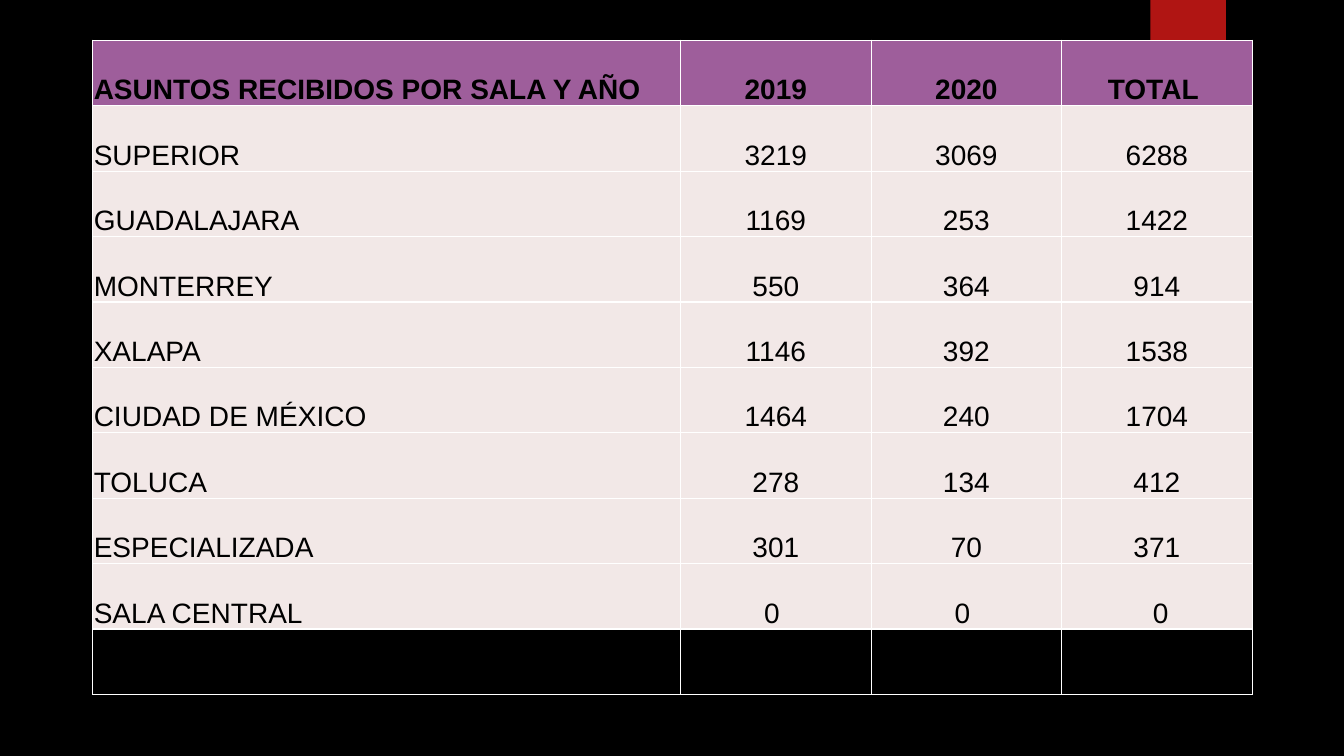
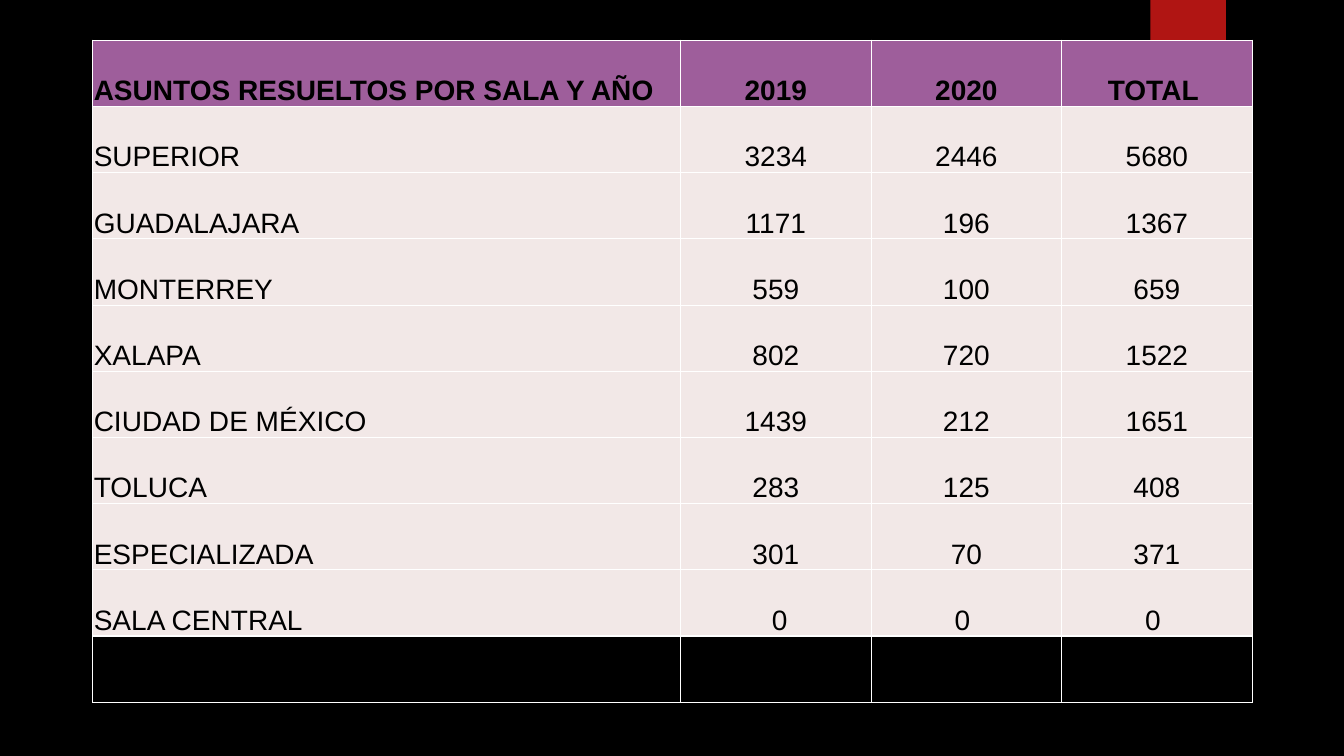
from lxml import etree
from pptx import Presentation
from pptx.dml.color import RGBColor
from pptx.enum.shapes import MSO_SHAPE
from pptx.enum.text import MSO_ANCHOR, PP_ALIGN
from pptx.oxml.ns import qn
from pptx.util import Inches, Pt

RECT = MSO_SHAPE.RECTANGLE
BOTTOM = MSO_ANCHOR.BOTTOM
LEFT, CENTER = PP_ALIGN.LEFT, PP_ALIGN.CENTER

# Shared style
COLORS = {
    "back": "000000",
    "tab": "B01513",
    "head": "9E5E9B",
    "body": "F2E8E7",
    "foot": "000000",
    "text": "000000",
    "line": "FFFFFF",
}
FONT, SIZE = "Arial", Pt(20)
COLS = (5.83, 1.89, 1.89, 1.89)
X, Y = 0.92, 0.4
INSET = Inches(0.01)

# Content: table height, then rows; the zeros hold no-break spaces
TABLES = [
    (6.49, [
        ("ASUNTOS RECIBIDOS POR SALA Y AÑO", "2019", "2020", "TOTAL "),
        ("SUPERIOR", "3219", "3069", "6288"),
        ("GUADALAJARA", "1169", "253", "1422"),
        ("MONTERREY", "550", "364", "914"),
        ("XALAPA", "1146", "392", "1538"),
        ("CIUDAD DE MÉXICO", "1464", "240", "1704"),
        ("TOLUCA", "278", "134", "412"),
        ("ESPECIALIZADA", "301", "70", "371"),
        ("SALA CENTRAL", "0 ", "0 ", " 0"),
    ]),
    (6.57, [
        ("ASUNTOS RESUELTOS POR SALA Y AÑO", "2019", "2020", "TOTAL "),
        ("SUPERIOR", "3234", "2446", "5680"),
        ("GUADALAJARA", "1171", "196", "1367"),
        ("MONTERREY", "559", "100", "659"),
        ("XALAPA", "802", "720", "1522"),
        ("CIUDAD DE MÉXICO", "1439", "212", "1651"),
        ("TOLUCA", "283", "125", "408"),
        ("ESPECIALIZADA", "301", "70", "371"),
        ("SALA CENTRAL", " 0", "0 ", "0 "),
    ]),
]


def paint(fill, name):
    fill.solid()
    fill.fore_color.rgb = RGBColor.from_string(COLORS[name])


def set_cell(cell, fill):
    props = cell._tc.get_or_add_tcPr()
    for side in ("lnL", "lnR", "lnT", "lnB"):
        line = etree.SubElement(props, qn("a:" + side), w=str(Pt(1)))
        solid = etree.SubElement(line, qn("a:solidFill"))
        etree.SubElement(solid, qn("a:srgbClr"), val=COLORS["line"])
    paint(cell.fill, fill)


def set_text(cell, text, align, bold):
    cell.vertical_anchor = BOTTOM
    cell.margin_left = cell.margin_right = cell.margin_top = INSET
    cell.margin_bottom = 0
    cell.text_frame.text = text
    para = cell.text_frame.paragraphs[0]
    para.alignment = align
    font = para.runs[0].font
    font.name, font.size, font.bold = FONT, SIZE, bold
    font.color.rgb = RGBColor.from_string(COLORS["text"])


def add_tab(slide):
    tab = slide.shapes.add_shape(
        RECT, Inches(11.41), 0, Inches(0.75), Inches(1.25))
    tab.shadow.inherit = False
    paint(tab.fill, "tab")
    tab.line.fill.background()


def add_grid(slide, high, rows):
    # One blank row closes the table
    fills = ["head"] + ["body"] * (len(rows) - 1) + ["foot"]
    grid = slide.shapes.add_table(
        len(fills), len(COLS), Inches(X), Inches(Y),
        Inches(sum(COLS)), Inches(high)).table
    grid.horz_banding = False
    for col, wide in zip(grid.columns, COLS):
        col.width = Inches(wide)
    for row, fill in zip(grid.rows, fills):
        row.height = Inches(high / len(fills))
        for cell in row.cells:
            set_cell(cell, fill)
    for r, row in enumerate(rows):
        for c, text in enumerate(row):
            set_text(grid.cell(r, c), text, CENTER if c else LEFT, r == 0)


def main():
    deck = Presentation()
    deck.slide_width, deck.slide_height = Inches(13.33), Inches(7.5)
    paint(deck.slide_master.background.fill, "back")
    blank = deck.slide_layouts[6]
    for high, rows in TABLES:
        slide = deck.slides.add_slide(blank)
        add_tab(slide)
        add_grid(slide, high, rows)
    deck.save("out.pptx")


if __name__ == "__main__":
    main()
